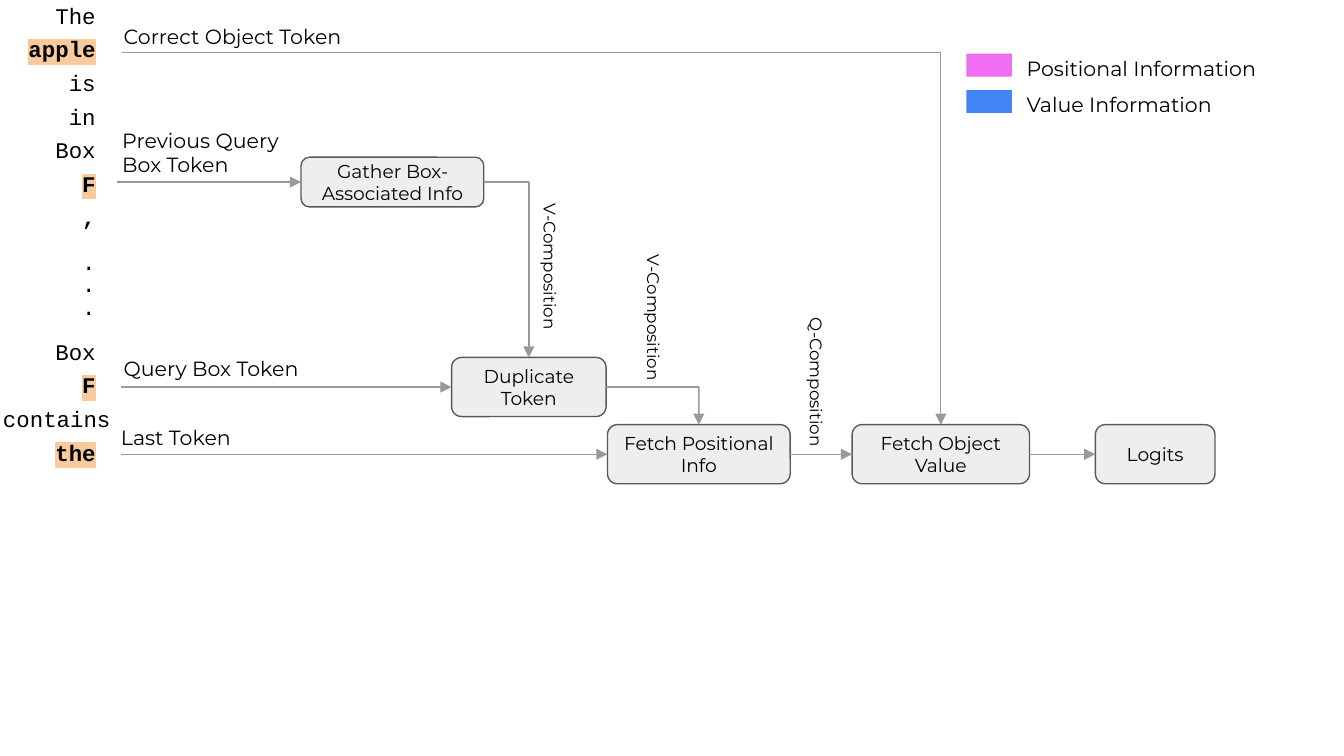
from pptx import Presentation, util as u
from pptx.dml.color import RGBColor
from pptx.enum import shapes, text
from pptx.oxml import ns, xmlchemy

CELL = 0.25  # inches; the slide is 40 columns by 22.5 rows
TOP, LEFT, RIGHT = 0, 1, 3


def grid(*cells):
    return [u.Inches(n * CELL) for n in cells]


def tint(code):
    return RGBColor.from_string(code)


def child(parent, tag):
    node = xmlchemy.OxmlElement(tag)
    parent.append(node)
    return node


class Sketch:
    sans, mono = "Montserrat", "Courier New"
    ink, grey, edge, pale, mark = "000000", "999999", "595959", "EEEEEE", "F9CB9C"
    width = u.Pt(0.75)

    def __init__(self, deck):
        self.slide = deck.slides.add_slide(deck.slide_layouts[6])
        self.shapes = self.slide.shapes

    def letter(self, shape, words, size, font, align, pad=(0, 0), bold=None, mark=False):
        """Fill a shape with text; pad is the side and the top inset in inches."""
        frame = shape.text_frame
        frame.text = words
        frame.word_wrap = True
        frame.margin_left = frame.margin_right = u.Inches(pad[0])
        frame.margin_top = frame.margin_bottom = u.Inches(pad[1])
        for para in frame.paragraphs:
            para.alignment = align
            for run in para.runs:
                style = run.font
                style.size, style.name, style.bold = u.Pt(size), font, bold
                style.color.rgb = tint(self.ink)
                if mark:
                    glow = xmlchemy.OxmlElement("a:highlight")
                    child(glow, "a:srgbClr").set("val", self.mark)
                    run._r.rPr.find(ns.qn("a:solidFill")).addnext(glow)

    def block(self, kind, place, fill):
        shape = self.shapes.add_shape(kind, *grid(*place))
        shape.shadow.inherit = False
        shape.fill.solid()
        shape.fill.fore_color.rgb = tint(fill)
        shape.line.fill.background()
        return shape

    def step(self, words, *place):
        shape = self.block(shapes.MSO_SHAPE.ROUNDED_RECTANGLE, place, self.pale)
        shape.adjustments[0] = 0.17
        shape.line.color.rgb = tint(self.edge)
        shape.line.width = self.width
        self.letter(shape, words, 10, self.sans, text.PP_ALIGN.CENTER, (0.1, 0.1))
        shape.text_frame.vertical_anchor = text.MSO_ANCHOR.MIDDLE
        return shape

    def label(self, words, *place, pad=0):
        box = self.shapes.add_textbox(*grid(*place))
        self.letter(box, words, 11, self.sans, text.PP_ALIGN.LEFT, (pad, 0))

    def upright(self, words, *place):
        box = self.shapes.add_textbox(*grid(*place))
        box.rotation = 90
        self.letter(box, words, 9, self.sans, text.PP_ALIGN.CENTER)

    def token(self, group, words, row, wide=3.92, bold=None, mark=False):
        box = group.shapes.add_textbox(*grid(-0.68, row + 0.06, wide, 1))
        self.letter(box, words, 12, self.mono, text.PP_ALIGN.RIGHT, (0.1, 0), bold, mark)

    def line(self, start, end, start_box=None, end_box=None, sites=(RIGHT, LEFT)):
        """Draw a line, joined to any box given; an end at a box has an arrowhead."""
        wire = self.shapes.add_connector(shapes.MSO_CONNECTOR.STRAIGHT, *grid(*start, *end))
        if start_box is not None:
            wire.begin_connect(start_box, sites[0])
        if end_box is not None:
            wire.end_connect(end_box, sites[1])
        wire.line.color.rgb = tint(self.grey)
        wire.line.width = self.width
        if end_box is not None:
            child(wire.line._get_or_add_ln(), "a:tailEnd").set("type", "triangle")
        child(wire._element.spPr, "a:effectLst")

    def key(self, words, row, fill, wide):
        self.block(shapes.MSO_SHAPE.RECTANGLE, (28.76, row, 1.36, 0.68), fill)
        self.label(words, 30.16, row + 0.06, wide, 0.76, pad=0.1)


def main():
    deck = Presentation()
    deck.slide_width, deck.slide_height = grid(40, 22.5)
    art = Sketch(deck)

    gather = art.step("Gather Box-Associated Info", 8.96, 4.68, 5.44, 1.48)
    double = art.step("Duplicate Token", 13.44, 10.64, 4.6, 1.76)
    locate = art.step("Fetch Positional Info", 18.08, 12.64, 5.44, 1.76)
    fetch = art.step("Fetch Object Value", 25.36, 12.64, 5.28, 1.76)
    logits = art.step("Logits", 32.6, 12.64, 3.56, 1.76)

    # Tokens into their steps, then step to step along the bottom row
    for left, mid, box in ((3.48, 5.42, gather), (3.6, 11.52, double), (3.6, 13.52, locate)):
        art.line((left, mid), (left, mid), end_box=box)
    for first, then in ((locate, fetch), (fetch, logits)):
        art.line((0, 0), (0, 0), first, then)

    # Right-angled routes: across to a corner, then down to the top of a step
    for start, source, corner, goal in (
        ((3.64, 1.56), None, (28, 1.56), fetch),
        ((14.4, 5.42), gather, (15.74, 5.42), double),
        ((18.04, 11.52), double, (20.8, 11.52), locate),
    ):
        art.line(start, corner, source)
        art.line(corner, corner, end_box=goal, sites=(RIGHT, TOP))

    group = art.shapes.add_group_shape()
    for row, words in ((0, "The"), (2, "is"), (3, "in"), (4, "Box"),
                       (7.32, "."), (7.98, "."), (8.66, "."), (10, "Box")):
        art.token(group, words, row)
    for row, words in ((1, "apple"), (5, "F"), (11, "F"), (13, "the")):
        art.token(group, words, row, bold=True, mark=True)
    art.token(group, ",", 6, bold=True)
    art.token(group, "contains", 12, wide=4.36)

    art.label("Correct Object Token", 3.68, 0.72, 8.64, 0.76)
    art.label("Previous Query\nBox Token", 3.64, 3.8, 6.64, 1.48)
    art.label("Query Box Token", 3.68, 10.6, 5.44, 0.76)
    art.label("Last Token", 3.6, 12.64, 4.88, 0.76)

    art.upright("V-Composition", 14.2, 7.64, 4.36, 0.6)
    art.upright("V-Composition", 17.28, 9.16, 4.36, 0.6)
    art.upright("Q-Composition", 21.92, 11.08, 4.76, 0.6)

    art.key("Positional Information", 1.6, "F06CF0", 7.76)
    art.key("Value Information", 2.68, "4285F4", 7)

    deck.save("out.pptx")


if __name__ == "__main__":
    main()
